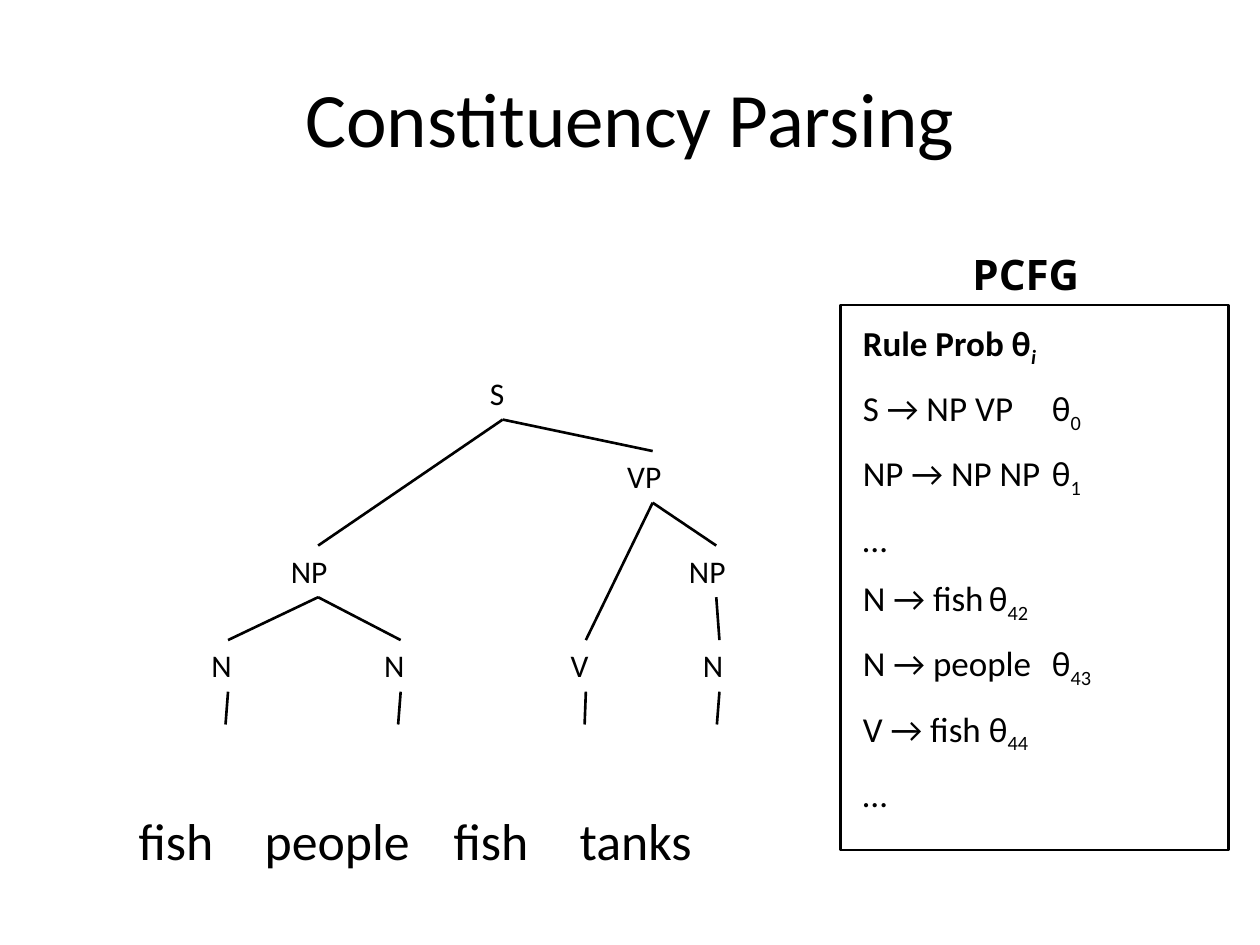
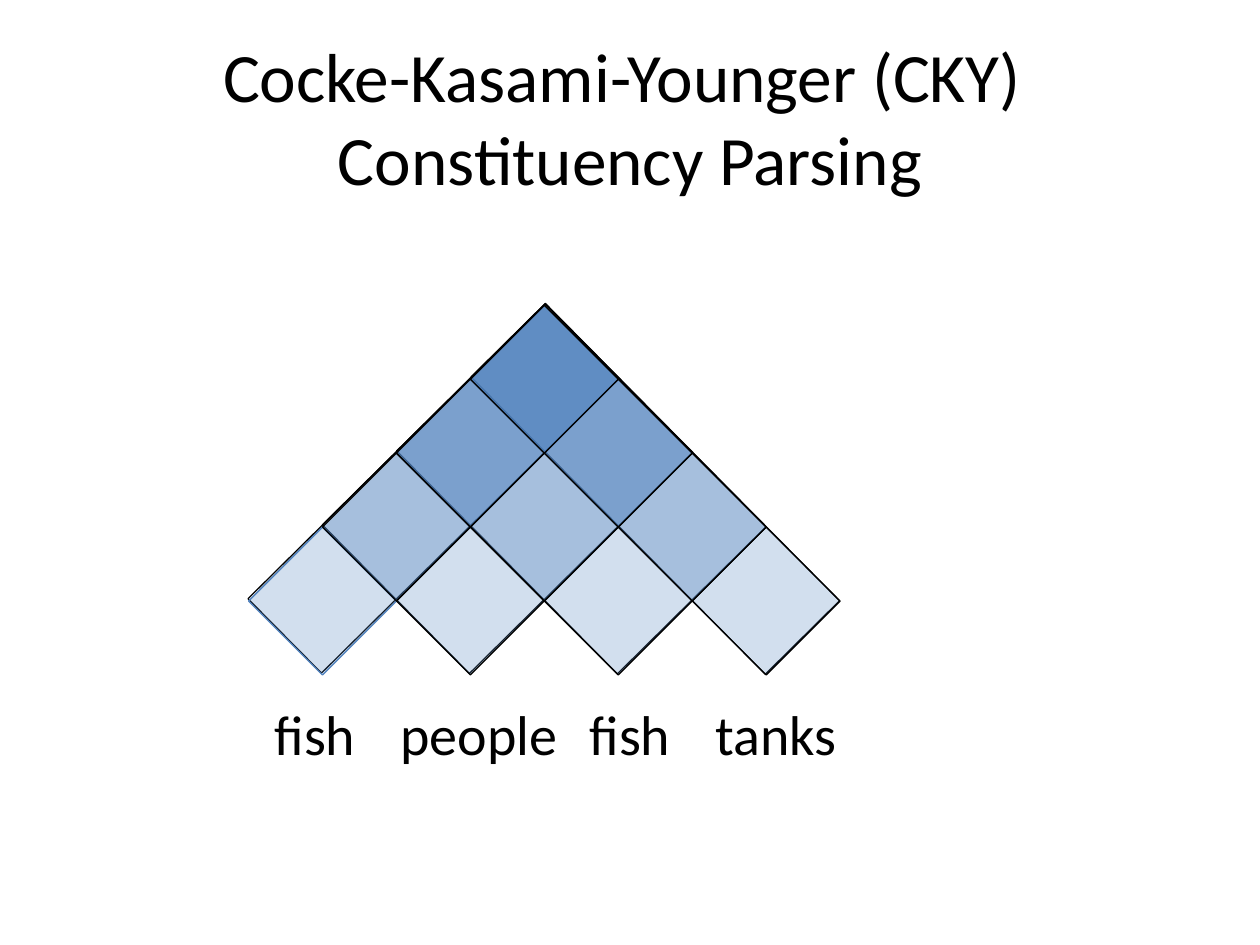
import math

from lxml import etree
from pptx import Presentation
from pptx.dml.color import RGBColor
from pptx.enum import shapes, text as text_enum
from pptx.oxml import ns
from pptx.util import Inches, Pt

BLACK = "000000"
BLUE = "4F81BD"
LEFT, CENTER = text_enum.PP_ALIGN.LEFT, text_enum.PP_ALIGN.CENTER
TOP, MIDDLE, BOTTOM = (text_enum.MSO_ANCHOR.TOP, text_enum.MSO_ANCHOR.MIDDLE,
                       text_enum.MSO_ANCHOR.BOTTOM)


def write(shape, text, size, font="Calibri", bold=False, align=LEFT,
          anchor=TOP, space_before=0, tabs=()):
    """Fill a shape, one paragraph a line; what follows "_" is a subscript."""
    frame = shape.text_frame
    frame.word_wrap = True
    frame.auto_size = text_enum.MSO_AUTO_SIZE.NONE
    frame.vertical_anchor = anchor
    for index, line in enumerate(text.split("\n")):
        paragraph = frame.add_paragraph() if index else frame.paragraphs[0]
        paragraph.alignment = align
        paragraph.space_before = Pt(space_before)
        if tabs:
            properties = paragraph._p.get_or_add_pPr()
            properties.set("marL", "0")
            properties.set("indent", "0")
            etree.SubElement(properties, ns.qn("a:buNone"))
            tab_list = etree.SubElement(properties, ns.qn("a:tabLst"))
            for tab in tabs:
                etree.SubElement(tab_list, ns.qn("a:tab"), pos=str(Inches(tab)), algn="l")
        for level, part in enumerate(line.split("_")):
            run = paragraph.add_run()
            run.text = part
            run.font.name = font
            run.font.size = Pt(size)
            run.font.bold = bold
            run.font.color.rgb = RGBColor.from_string(BLACK)
            if level:
                run._r.get_or_add_rPr().set("baseline", "-25000")
                run.font.italic = part.isalpha()


def paint(shape, line, width, fill=None, opacity=1):
    """Set line and fill of a shape or connector, without a shadow."""
    if fill:
        shape.fill.solid()
        shape.fill.fore_color.rgb = RGBColor.from_string(fill)
        color = shape._element.spPr.find(".//" + ns.qn("a:srgbClr"))
        etree.SubElement(color, ns.qn("a:alpha"), val=str(int(opacity * 100000)))
    elif hasattr(shape, "fill"):
        shape.fill.background()
    shape.line.color.rgb = RGBColor.from_string(line)
    shape.line.width = Pt(width)
    etree.SubElement(shape._element.spPr, ns.qn("a:effectLst"))


presentation = Presentation()
presentation.slide_width = Inches(10)
presentation.slide_height = Inches(7.5)

# Slide 1: parse tree and grammar
slide = presentation.slides.add_slide(presentation.slide_layouts[1])
write(slide.shapes.title, "Constituency Parsing", 44, align=CENTER, anchor=MIDDLE)

sentence = slide.placeholders[1]
sentence.left, sentence.top = Inches(0.5), Inches(1.75)
sentence.width, sentence.height = Inches(9), Inches(5.21)
write(sentence, "\tfish\tpeople\tfish\ttanks", 29.6, anchor=BOTTOM,
      tabs=(1, 2.07, 3.69, 4.74))

rules = slide.shapes.add_textbox(Inches(6.75), Inches(2.5), Inches(3), Inches(3.97))
write(rules, "S → NP VP\tθ_0\nNP → NP NP\tθ_1\n…\nN → fish\tθ_42\n"
      "N → people\tθ_43\nV → fish\tθ_44\n…".join(("Rule Prob θ_i\n", "")),
      20, space_before=10, tabs=(2,))
for run in rules.text_frame.paragraphs[0].runs:
    run.font.bold = True

heading = slide.shapes.add_textbox(Inches(7.62), Inches(1.92), Inches(1.13), Inches(0.5))
write(heading, "PCFG", 24, font="Open Sans", bold=True)
frame = slide.shapes.add_shape(shapes.MSO_SHAPE.RECTANGLE, Inches(6.67), Inches(2.42),
                               Inches(3.08), Inches(4.33))
paint(frame, BLACK, 1.25)

label_widths = {"S": 0.4, "VP": 0.6, "NP": 0.63, "N": 0.46, "V": 0.44}
tree_nodes = {  # label, left, top, parent
    "sentence": ("S", 3.79, 2.92, None),
    "subject": ("NP", 2.21, 4.33, "sentence"),
    "predicate": ("VP", 4.88, 3.58, "sentence"),
    "object": ("NP", 5.37, 4.33, "predicate"),
    "fish noun": ("N", 1.58, 5.08, "subject"),
    "people noun": ("N", 2.95, 5.08, "subject"),
    "fish verb": ("V", 4.43, 5.08, "predicate"),
    "tanks noun": ("N", 5.48, 5.08, "object"),
}
leaf_ends = {"fish noun": 1.79, "people noun": 3.16, "fish verb": 4.64, "tanks noun": 5.69}
boxes = {}
for name, (label, left, top, parent) in tree_nodes.items():
    boxes[name] = slide.shapes.add_textbox(Inches(left), Inches(top),
                                           Inches(label_widths[label]), Inches(0.41))
    write(boxes[name], label, 18)
    if parent:
        branch = slide.shapes.add_connector(shapes.MSO_CONNECTOR.STRAIGHT, 0, 0, 0, 0)
        branch.begin_connect(boxes[parent], 2)
        branch.end_connect(boxes[name], 0)
        paint(branch, BLACK, 1.5)
    if name in leaf_ends:
        stem = slide.shapes.add_connector(shapes.MSO_CONNECTOR.STRAIGHT, 0, 0,
                                          Inches(leaf_ends[name]), Inches(5.75))
        stem.begin_connect(boxes[name], 2)
        paint(stem, BLACK, 1.5)

# Slide 2: CKY chart
slide = presentation.slides.add_slide(presentation.slide_layouts[5])
write(slide.shapes.title, "Cocke-Kasami-Younger (CKY) \nConstituency Parsing", 39.6,
      align=CENTER, anchor=MIDDLE)

cell = 0.83
half_diagonal = cell / math.sqrt(2)
for strip in range(4):
    width, height = cell * (strip + 1), cell * (4 - strip)
    center_x = 3.44 + strip * half_diagonal
    band = slide.shapes.add_shape(shapes.MSO_SHAPE.RECTANGLE, Inches(center_x - width / 2),
                                  Inches(3.88 - height / 2), Inches(width), Inches(height))
    band.rotation = 45.3
    paint(band, BLACK, 0.75)

words = slide.shapes.add_textbox(Inches(2.08), Inches(5.5), Inches(4.74), Inches(0.64))
write(words, "fish\tpeople\tfish\ttanks", 32, tabs=(0.95, 2.39, 3.54))

for row, opacity in reversed(list(enumerate((0.9, 0.75, 0.5, 0.25)))):
    for column in range(row + 1):
        center_x = 4.32 + (2 * column - row) * half_diagonal
        center_y = 3.01 + row * half_diagonal
        diamond = slide.shapes.add_shape(
            shapes.MSO_SHAPE.RECTANGLE, Inches(center_x - cell / 2),
            Inches(center_y - cell / 2), Inches(cell), Inches(cell))
        diamond.rotation = 45
        first_word = row == 3 and column == 0
        paint(diamond, BLUE if first_word else BLACK, 0.75, fill=BLUE, opacity=opacity)

presentation.save("out.pptx")
